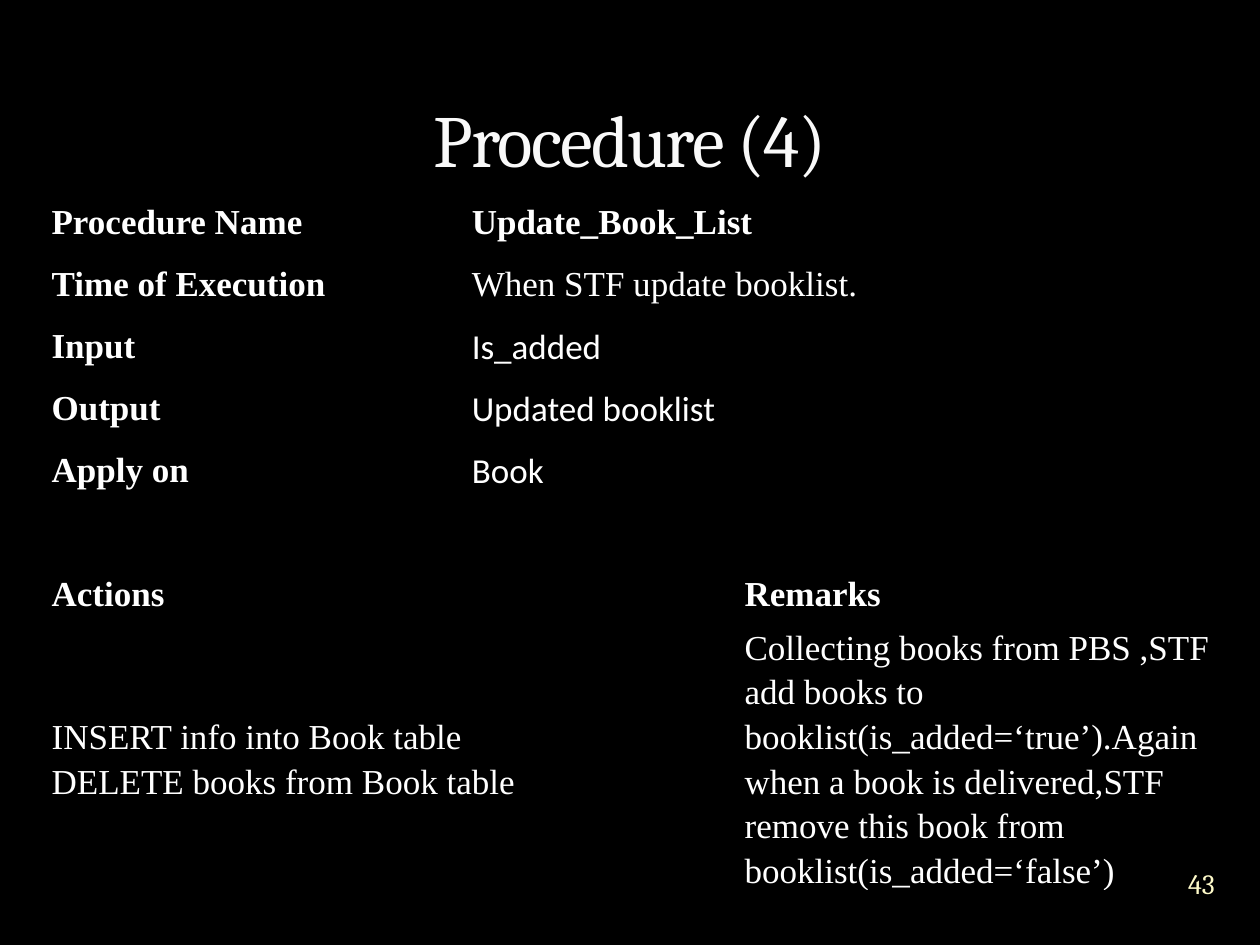
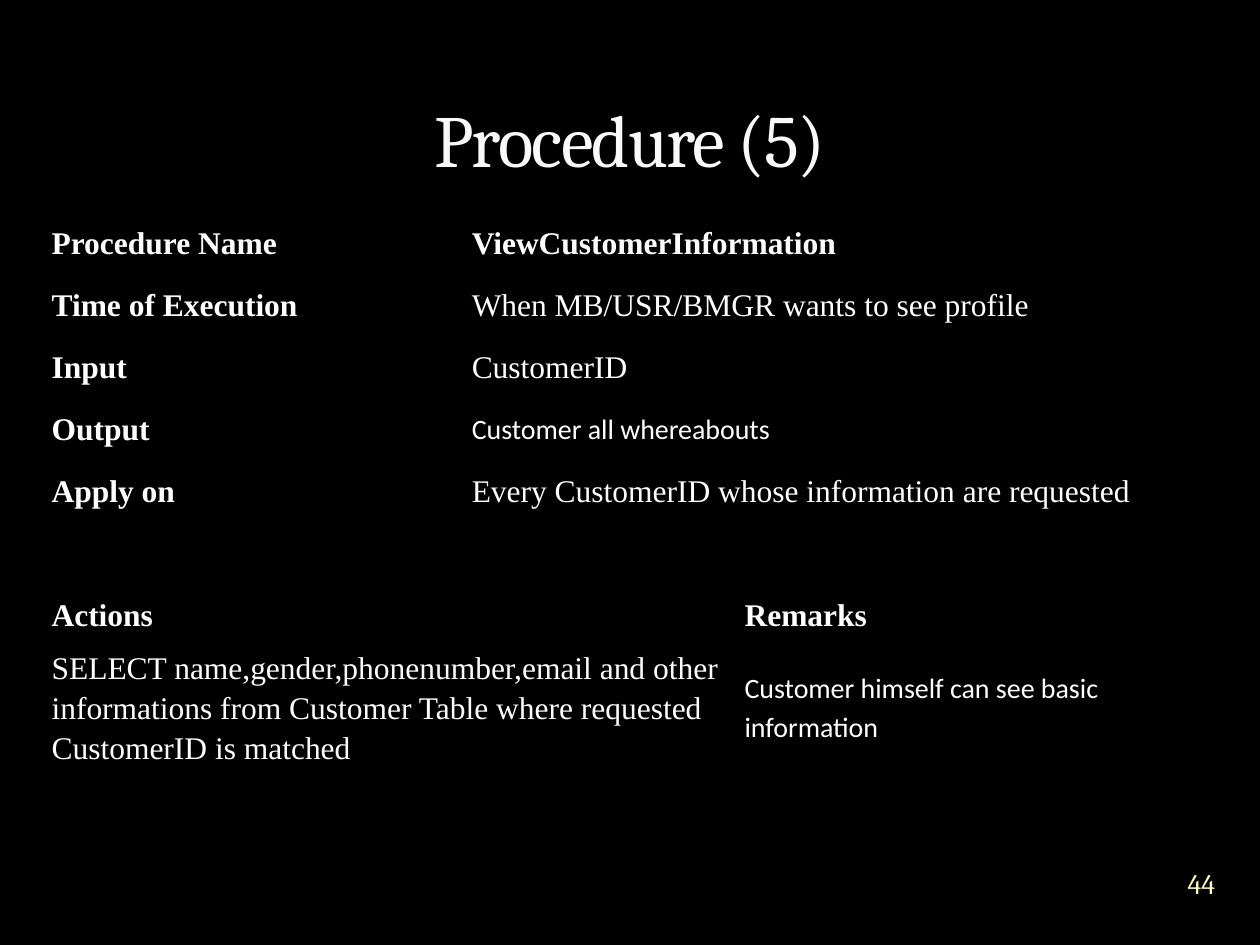
from dataclasses import dataclass

from lxml.etree import SubElement
from pptx import Presentation
from pptx.dml.color import RGBColor
from pptx.enum.text import MSO_ANCHOR, PP_ALIGN
from pptx.oxml.ns import qn
from pptx.util import Cm, Pt

# Shared look
BLACK, WHITE = "000000", "FFFFFF"
TITLE_WHITE, NUMBER_YELLOW = "F9F9F9", "FEFAC9"
SERIF, SANS, HEADING = "Times New Roman", "Calibri", "Cambria"
COLUMN_WIDTHS = (8.47, 5.5, 9.95)
ROW_HEIGHT = 1.25
LABELS = ("Procedure Name", "Time of Execution", "Input", "Output", "Apply on")
GAP_ROW, HEADER_ROW, DETAIL_ROW = 5, 6, 7


@dataclass
class Entry:
    text: str
    font: str = SERIF
    size: int = 20
    bold: bool = False


def rgb(code):
    return RGBColor.from_string(code)


def style_font(font, name, size, color, bold=False):
    font.name, font.size, font.bold = name, Pt(size), bold
    font.color.rgb = rgb(color)


def add_title(page, text):
    title = page.shapes.title
    title.left, title.top, title.width, title.height = Cm(1.27), Cm(0.43), Cm(22.86), Cm(3.38)
    title.text_frame.text = text
    title.text_frame.vertical_anchor = MSO_ANCHOR.BOTTOM
    para = title.text_frame.paragraphs[0]
    para.alignment = PP_ALIGN.CENTER
    style_font(para.font, HEADING, 42, TITLE_WHITE)
    para.runs[0].font._element.set("spc", "-100")


def add_page_number(page, number):
    box = page.shapes.add_textbox(Cm(23.37), Cm(17.17), Cm(1.7), Cm(1.27))
    frame = box.text_frame
    frame.word_wrap = True
    frame.vertical_anchor = MSO_ANCHOR.MIDDLE
    frame.margin_left = frame.margin_right = frame.margin_top = frame.margin_bottom = 0
    frame.text = str(number)
    para = frame.paragraphs[0]
    para.alignment = PP_ALIGN.CENTER
    style_font(para.font, HEADING, 16, NUMBER_YELLOW)


def format_cell(cell):
    """Black borders, no fill and tight margins."""
    properties = cell._tc.get_or_add_tcPr()
    for side in ("a:lnL", "a:lnR", "a:lnT", "a:lnB"):
        line = SubElement(properties, qn(side), w=str(Pt(1)))
        SubElement(SubElement(line, qn("a:solidFill")), qn("a:srgbClr"), val=BLACK)
    cell.fill.background()
    cell.vertical_anchor = MSO_ANCHOR.MIDDLE
    cell.margin_left = cell.margin_right = Cm(0.19)
    cell.margin_top = cell.margin_bottom = 0


def write_cell(cell, entry):
    cell.text = entry.text
    for para in cell.text_frame.paragraphs:
        para.line_spacing = 1.15
        style_font(para.font, entry.font, entry.size, WHITE, entry.bold)


def add_procedure_table(page, top, size, values, actions, remarks):
    frame = page.shapes.add_table(DETAIL_ROW + 1, len(COLUMN_WIDTHS), Cm(0.85), Cm(top),
                                  Cm(sum(COLUMN_WIDTHS)), Cm(ROW_HEIGHT * 9))
    table = frame.table
    table.first_row = table.horz_banding = False
    for column, width in zip(table.columns, COLUMN_WIDTHS):
        column.width = Cm(width)
    for row in table.rows:
        row.height = Cm(ROW_HEIGHT)
    table.rows[DETAIL_ROW].height = Cm(2 * ROW_HEIGHT)
    for cell in table.iter_cells():
        format_cell(cell)

    # Label and value rows
    for row, (label, value) in enumerate(zip(LABELS, values)):
        table.cell(row, 1).merge(table.cell(row, 2))
        write_cell(table.cell(row, 0), Entry(label, size=size, bold=True))
        write_cell(table.cell(row, 1), value)

    # Gap, then actions beside remarks
    table.cell(GAP_ROW, 0).merge(table.cell(GAP_ROW, 2))
    headers = [Entry(text, size=size, bold=True) for text in ("Actions", "Remarks")]
    for row, (left, right) in ((HEADER_ROW, headers), (DETAIL_ROW, (actions, remarks))):
        table.cell(row, 0).merge(table.cell(row, 1))
        write_cell(table.cell(row, 0), left)
        write_cell(table.cell(row, 2), right)


def add_procedure_page(deck, title, number, **table):
    page = deck.slides.add_slide(deck.slide_layouts[5])
    page.background.fill.solid()
    page.background.fill.fore_color.rgb = rgb(BLACK)
    add_procedure_table(page, **table)
    add_page_number(page, number)
    add_title(page, title)


def main():
    deck = Presentation()
    deck.slide_width, deck.slide_height = Cm(25.4), Cm(19.05)

    add_procedure_page(
        deck, "Procedure (4)", 43, top=3.81, size=20,
        values=(Entry("Update_Book_List", bold=True),
                Entry("When STF update booklist."),
                Entry("Is_added", SANS),
                Entry("Updated booklist", SANS),
                Entry("Book", SANS)),
        actions=Entry("INSERT info into Book table\nDELETE books from Book table"),
        remarks=Entry("Collecting books from PBS ,STF add books to "
                      "booklist(is_added=‘true’).Again when a book is delivered,STF "
                      "remove this book from booklist(is_added=‘false’)"))

    add_procedure_page(
        deck, "Procedure (5)", 44, top=4.23, size=18,
        values=(Entry("ViewCustomerInformation", size=18, bold=True),
                Entry("When MB/USR/BMGR wants to see profile", size=18),
                Entry("CustomerID", size=18),
                Entry("Customer all whereabouts", SANS, 16),
                Entry("Every CustomerID whose information are requested", size=18)),
        actions=Entry("SELECT name,gender,phonenumber,email and other informations "
                      "from Customer Table where requested CustomerID is matched", size=18),
        remarks=Entry("Customer himself can see basic information", SANS, 16))

    deck.save("out.pptx")


if __name__ == "__main__":
    main()
